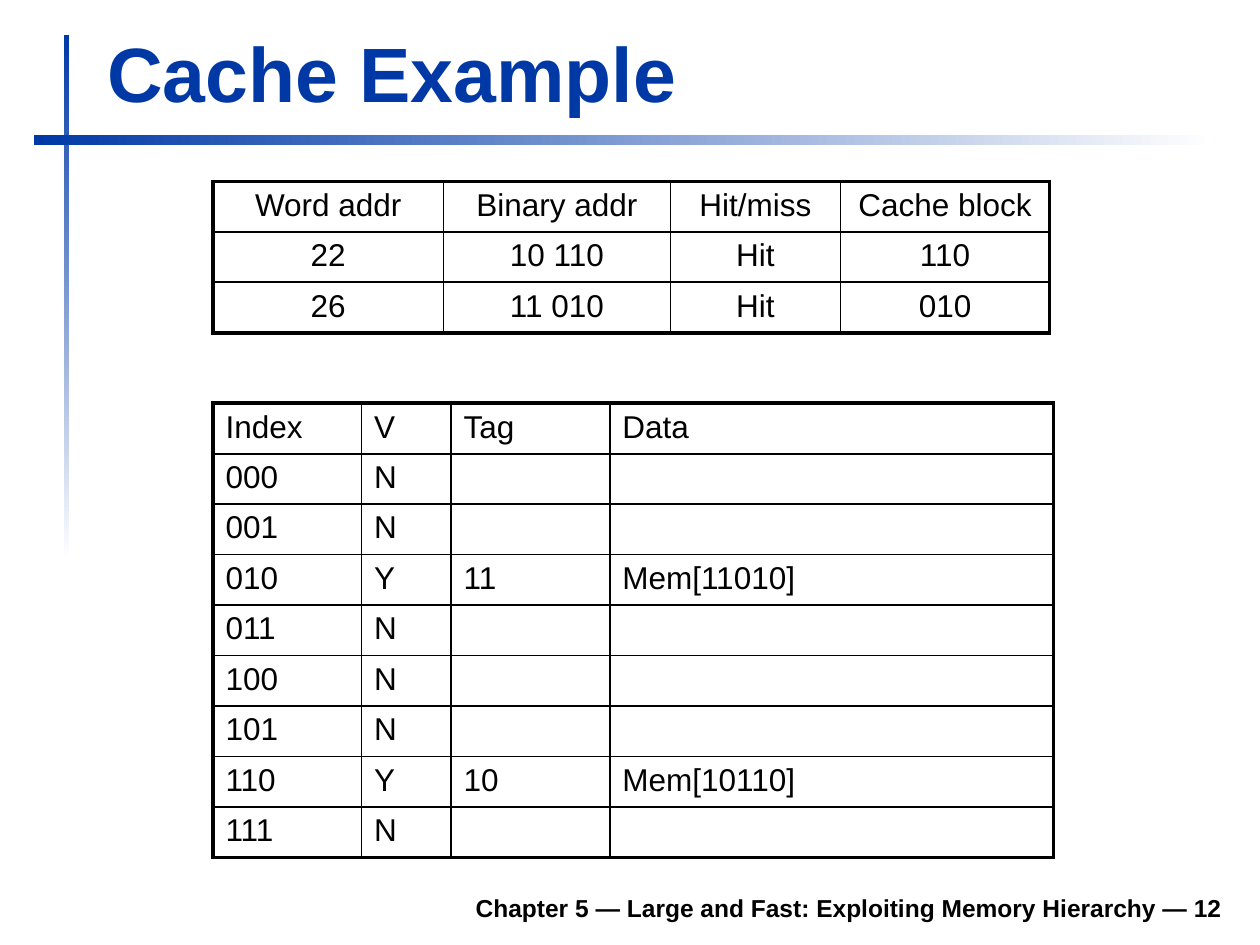
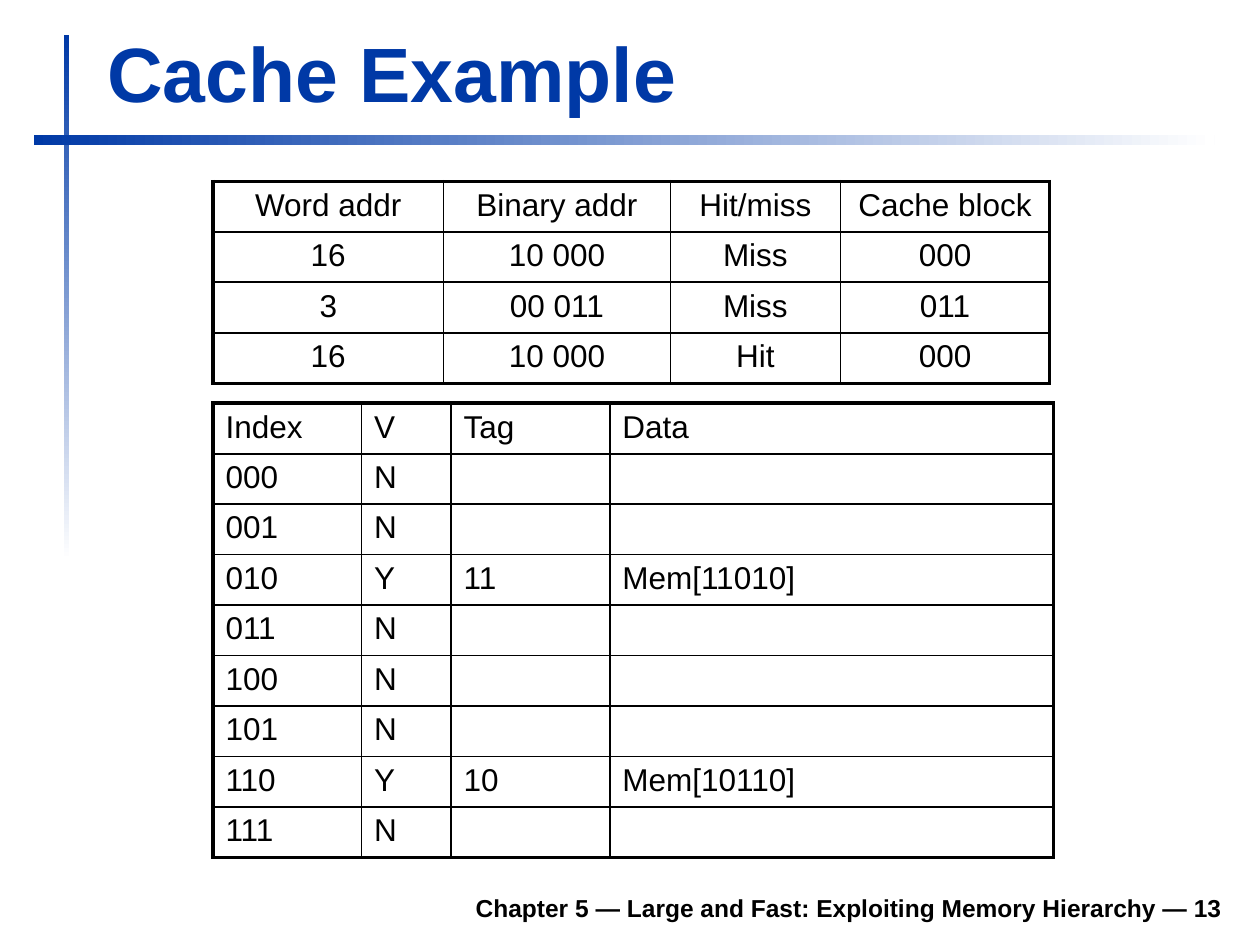
from lxml.etree import SubElement
from pptx import Presentation
from pptx.dml.color import RGBColor
from pptx.enum.shapes import MSO_SHAPE
from pptx.enum.text import MSO_ANCHOR, MSO_AUTO_SIZE, PP_ALIGN
from pptx.oxml.ns import qn
from pptx.util import Inches, Pt

SLIDE_WIDTH, SLIDE_HEIGHT = Inches(10), Inches(7.5)
GRID_COLUMNS, GRID_ROWS = 100, 75
BLUE, WHITE, BLACK = "0039A6", "FFFFFF", "000000"
FONT = "Arial"
TITLE_ONLY = 5
ROW_HEIGHT = 4
OUTER_RULE, HEADER_RULE, THIN_RULE = 2.25, 1.5, 1

TITLE_BOX = (7.5, 1.6, 90.3, 8.3)
FOOTER_BOX = (18.5, 69.8, 79.5, 3.9)
VERTICAL_BAND = (5.1, 2.8, 0.4, 41.7)
HORIZONTAL_BAND = (2.7, 10.7, 93.7, 0.8)
ACCESS_CORNER = (16.9, 14.4)
CACHE_CORNER = (16.9, 32)
ACCESS_WIDTHS = (18.3, 18, 13.5, 16.6)
CACHE_WIDTHS = (11.8, 7.1, 12.6, 35.2)

CHAPTER = "Chapter 5 — Large and Fast: Exploiting Memory Hierarchy"
ACCESS_HEADER = ("Word addr", "Binary addr", "Hit/miss", "Cache block")
CACHE_HEADER = ("Index", "V", "Tag", "Data")
CACHED_TAGS = {"010": "11", "110": "10"}
ACCESSES_BY_PAGE = {
    12: [("22", "10 110", "Hit", "110"),
         ("26", "11 010", "Hit", "010")],
    13: [("16", "10 000", "Miss", "000"),
         ("3", "00 011", "Miss", "011"),
         ("16", "10 000", "Hit", "000")],
}


def color(hex_value):
    """Turn a hex string into a colour."""
    return RGBColor.from_string(hex_value)


def across(columns):
    """Convert grid columns to a length."""
    return round(SLIDE_WIDTH * columns / GRID_COLUMNS)


def down(rows):
    """Convert grid rows to a length."""
    return round(SLIDE_HEIGHT * rows / GRID_ROWS)


def place(box):
    """Convert a grid box to left, top, width and height."""
    left, top, width, height = box
    return across(left), down(top), across(width), down(height)


def write(frame, text, size=18, ink=BLACK, bold=False, align=PP_ALIGN.LEFT):
    """Write one formatted paragraph into a text frame."""
    paragraph = frame.paragraphs[0]
    paragraph.alignment = align
    if text:
        run = paragraph.add_run()
        run.text = text
        run.font.name = FONT
        run.font.size = Pt(size)
        run.font.bold = bold
        run.font.color.rgb = color(ink)


def draw_band(slide, box, angle):
    """Draw a bar that fades from blue to white."""
    band = slide.shapes.add_shape(MSO_SHAPE.RECTANGLE, *place(box))
    band.shadow.inherit = False
    band.line.fill.background()
    band.fill.gradient()
    band.fill.gradient_angle = angle
    for stop, position, shade in zip(band.fill.gradient_stops, (0, 1), (BLUE, WHITE)):
        stop.position = position
        stop.color.rgb = color(shade)


def draw_title(slide, box, text):
    """Place and format the title placeholder."""
    title = slide.shapes.title
    title.left, title.top, title.width, title.height = place(box)
    frame = title.text_frame
    frame.word_wrap = True
    frame.auto_size = MSO_AUTO_SIZE.SHAPE_TO_FIT_TEXT
    frame.vertical_anchor = MSO_ANCHOR.BOTTOM
    write(frame, text, size=44, ink=BLUE, bold=True)


def draw_footer(slide, box, page):
    """Write the chapter line with its page number."""
    frame = slide.shapes.add_textbox(*place(box)).text_frame
    frame.word_wrap = True
    frame.vertical_anchor = MSO_ANCHOR.BOTTOM
    write(frame, f"{CHAPTER} — {page}", size=14, bold=True, align=PP_ALIGN.RIGHT)


def rule_cell(cell, **weights):
    """Draw the cell's borders with the given point weights, then clear its fill."""
    properties = cell._tc.get_or_add_tcPr()
    for side in "LRTB":
        border = SubElement(properties, qn(f"a:ln{side}"), w=str(Pt(weights[side])))
        SubElement(SubElement(border, qn("a:solidFill")), qn("a:srgbClr"), val=BLACK)
    cell.fill.background()


def draw_table(slide, corner, widths, rows, row_rule, align):
    """Draw a ruled table with a heavy frame from its top left corner."""
    box = (*corner, sum(widths), ROW_HEIGHT * len(rows))
    table = slide.shapes.add_table(len(rows), len(widths), *place(box)).table
    table.first_row = table.horz_banding = False
    for column, width in zip(table.columns, widths):
        column.width = across(width)
    row_rules = [OUTER_RULE, HEADER_RULE, *[row_rule] * (len(rows) - 2), OUTER_RULE]
    column_rules = [OUTER_RULE, *[THIN_RULE] * (len(widths) - 1), OUTER_RULE]
    for r, row in enumerate(rows):
        table.rows[r].height = down(ROW_HEIGHT)
        for c, text in enumerate(row):
            cell = table.cell(r, c)
            write(cell.text_frame, text, align=align)
            rule_cell(cell, L=column_rules[c], R=column_rules[c + 1],
                      T=row_rules[r], B=row_rules[r + 1])


def cache_rows():
    """List the state of the eight cache blocks."""
    rows = [CACHE_HEADER]
    for block in range(8):
        index = f"{block:03b}"
        tag = CACHED_TAGS.get(index, "")
        rows.append((index, "Y" if tag else "N", tag, f"Mem[{tag}{index}]" if tag else ""))
    return rows


def add_cache_slide(deck, page, accesses):
    """Add a slide with the accesses above the cache contents."""
    slide = deck.slides.add_slide(deck.slide_layouts[TITLE_ONLY])
    draw_band(slide, VERTICAL_BAND, angle=270)
    draw_band(slide, HORIZONTAL_BAND, angle=0)
    draw_footer(slide, FOOTER_BOX, page)
    draw_title(slide, TITLE_BOX, "Cache Example")
    draw_table(slide, ACCESS_CORNER, ACCESS_WIDTHS, [ACCESS_HEADER, *accesses],
               row_rule=HEADER_RULE, align=PP_ALIGN.CENTER)
    draw_table(slide, CACHE_CORNER, CACHE_WIDTHS, cache_rows(),
               row_rule=THIN_RULE, align=PP_ALIGN.LEFT)


def main():
    """Build and save the deck."""
    deck = Presentation()
    deck.slide_width, deck.slide_height = SLIDE_WIDTH, SLIDE_HEIGHT
    for page, accesses in ACCESSES_BY_PAGE.items():
        add_cache_slide(deck, page, accesses)
    deck.save("out.pptx")


if __name__ == "__main__":
    main()
